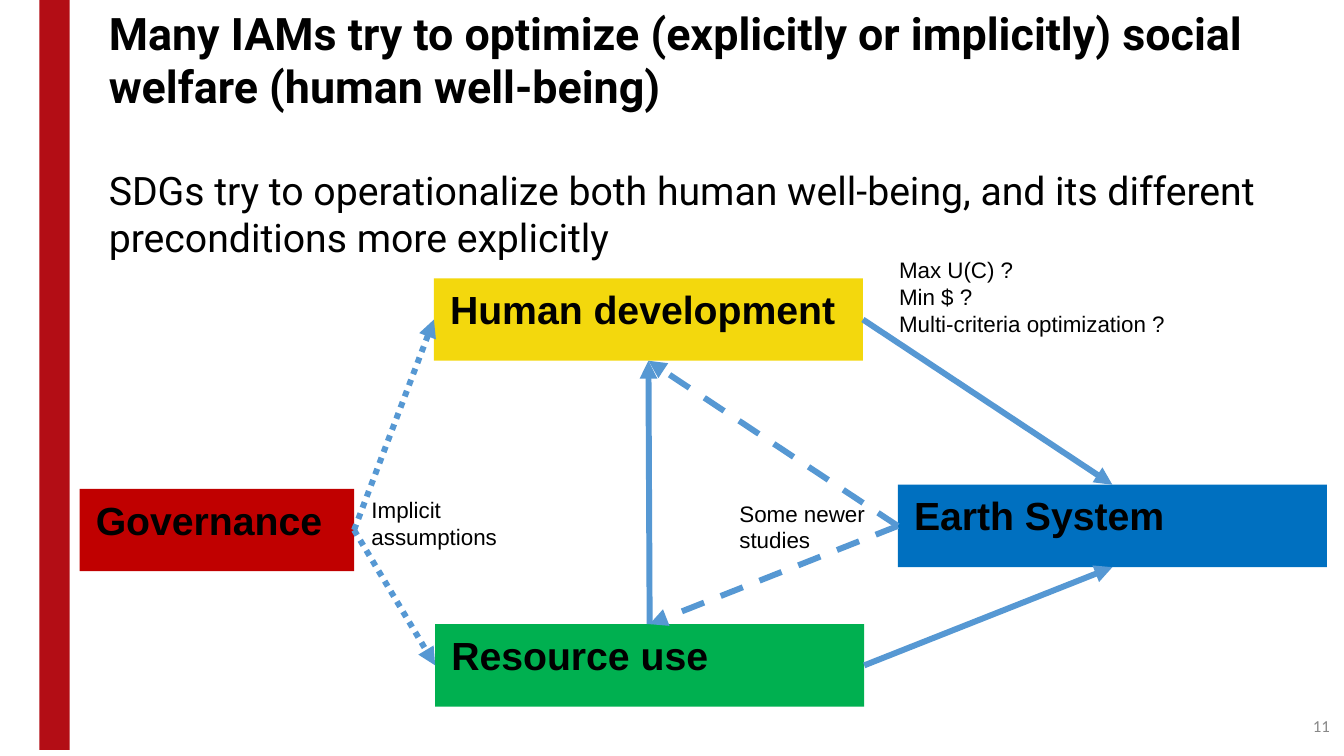
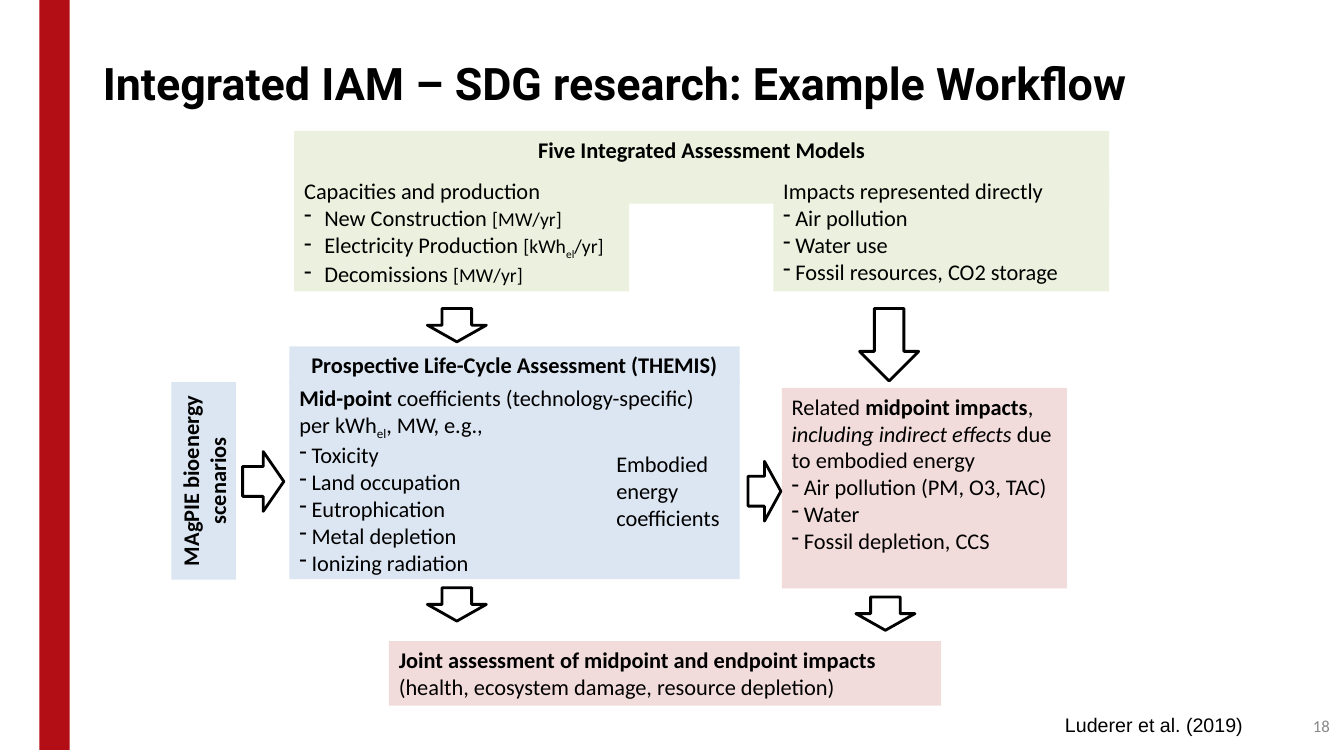
from dataclasses import dataclass

from lxml.etree import SubElement
from pptx import Presentation
from pptx.dml.color import RGBColor
from pptx.enum.dml import MSO_LINE
from pptx.enum.shapes import MSO_CONNECTOR, MSO_SHAPE
from pptx.enum.text import MSO_ANCHOR, MSO_AUTO_SIZE, PP_ALIGN
from pptx.oxml.ns import qn
from pptx.util import Inches, Pt


@dataclass(frozen=True)
class Theme:
    band: str = "B30D15"
    ink: str = "000000"
    paper: str = "FFFFFF"
    muted: str = "888888"
    yellow: str = "F3D80D"
    green: str = "00B050"
    blue: str = "0070C0"
    red: str = "C00000"
    link: str = "5698D3"
    pale_green: str = "EBF1DE"
    pale_blue: str = "DCE6F2"
    pale_red: str = "F2DCDB"
    title_font: str = "Roboto"
    diagram_font: str = "Arial"
    body_font: str = "Calibri"
    title_size: float = 32
    large_size: float = 28
    body_size: float = 16
    unit_size: float = 14
    number_size: float = 12
    link_width: float = 4.25
    outline_width: float = 2


@dataclass(frozen=True)
class Box:
    """A rectangle in inches."""
    left: float
    top: float
    width: float
    height: float

    def share(self, x, y, w, h):
        """Return the box at these percentages of this one."""
        return Box(self.left + self.width * x / 100, self.top + self.height * y / 100,
                   self.width * w / 100, self.height * h / 100)

    def emu(self):
        return [Inches(v) for v in (self.left, self.top, self.width, self.height)]


THEME = Theme()
PAGE = Box(0, 0, 13.33, 7.5)
TITLE_ONLY = 5
TOP, LEFT, BOTTOM, RIGHT = range(4)
BOLD = {"bold": True}
ITALIC = {"italic": True}
UNIT = {"size": THEME.unit_size}
SUBSCRIPT = {"baseline": -25000}


def color(value):
    return RGBColor.from_string(value)


def add_bullet(paragraph, indent):
    properties = paragraph._p.get_or_add_pPr()
    properties.set("marL", str(Inches(indent)))
    properties.set("indent", str(-Inches(indent)))
    SubElement(properties, qn("a:buChar"), char="-")


def write(frame, paragraphs, *, size=THEME.body_size, font=THEME.body_font, ink=THEME.ink,
          bold=False, align=PP_ALIGN.LEFT, anchor=MSO_ANCHOR.TOP, inset=(0.1, 0.05),
          wrap=True, indent=0.12, gap=0):
    """Fill a frame; a paragraph is a string or a list of strings and (string, format) pairs.

    A paragraph that starts with "- " becomes a bulleted one.
    """
    frame.word_wrap = wrap
    frame.auto_size = MSO_AUTO_SIZE.NONE
    frame.vertical_anchor = anchor
    frame.margin_left = frame.margin_right = Inches(inset[0])
    frame.margin_top = frame.margin_bottom = Inches(inset[1])
    for index, content in enumerate(paragraphs):
        paragraph = frame.add_paragraph() if index else frame.paragraphs[0]
        paragraph.alignment = align
        paragraph.space_before = Pt(gap if index else 0)
        pieces = [content] if isinstance(content, str) else content
        pieces = [(p, {}) if isinstance(p, str) else p for p in pieces]
        if pieces[0][0].startswith("- "):
            add_bullet(paragraph, indent)
            pieces[0] = (pieces[0][0][2:], pieces[0][1])
        for words, style in pieces:
            run = paragraph.add_run()
            run.text = words
            run.font.name = font
            run.font.size = Pt(style.get("size", size))
            run.font.bold = style.get("bold", bold)
            run.font.italic = style.get("italic", False)
            run.font.color.rgb = color(ink)
            if "baseline" in style:
                run._r.get_or_add_rPr().set("baseline", str(style["baseline"]))


def add_text(slide, box, paragraphs, **fmt):
    write(slide.shapes.add_textbox(*box.emu()).text_frame, paragraphs, **fmt)


def add_panel(slide, box, fill, paragraphs=(), **fmt):
    panel = slide.shapes.add_shape(MSO_SHAPE.RECTANGLE, *box.emu())
    panel.shadow.inherit = False
    panel.fill.solid()
    panel.fill.fore_color.rgb = color(fill)
    panel.line.fill.background()
    write(panel.text_frame, paragraphs, **fmt)
    return panel


def add_block_arrow(slide, box, preset):
    arrow = slide.shapes.add_shape(preset, *box.emu())
    arrow.shadow.inherit = False
    arrow.fill.solid()
    arrow.fill.fore_color.rgb = color(THEME.paper)
    arrow.line.color.rgb = color(THEME.ink)
    arrow.line.width = Pt(THEME.outline_width)


def add_link(slide, source, source_side, target, target_side, dash=None):
    link = slide.shapes.add_connector(MSO_CONNECTOR.STRAIGHT, 0, 0, 0, 0)
    link.begin_connect(source, source_side)
    link.end_connect(target, target_side)
    link.line.color.rgb = color(THEME.link)
    link.line.width = Pt(THEME.link_width)
    if dash:
        link.line.dash_style = dash
    SubElement(link.line._get_or_add_ln(), qn("a:tailEnd"), type="triangle")
    SubElement(link._element.spPr, qn("a:effectLst"))


def start_slide(deck, number, title_box, title, **title_format):
    slide = deck.slides.add_slide(deck.slide_layouts[TITLE_ONLY])
    add_panel(slide, Box(0.39, -0.06, 0.3, 7.5), THEME.band)
    add_text(slide, Box(10.29, 7, 3, 0.4), [number], size=THEME.number_size,
             ink=THEME.muted, align=PP_ALIGN.RIGHT, anchor=MSO_ANCHOR.MIDDLE)
    heading = slide.shapes.title
    heading.left, heading.top, heading.width, heading.height = title_box.emu()
    write(heading.text_frame, title, size=THEME.title_size, font=THEME.title_font,
          bold=True, anchor=MSO_ANCHOR.MIDDLE, **title_format)
    return slide


def system_diagram(slide, area):
    def node(name, fill, x, y, width=34.4):
        return add_panel(slide, area.share(x, y, width, 18.1), fill, [name],
                         size=THEME.large_size, font=THEME.diagram_font, bold=True,
                         inset=(0.16, 0.07))

    human = node("Human development", THEME.yellow, 28.4, 6)
    resources = node("Resource use", THEME.green, 28.5, 81.9)
    earth = node("Earth System", THEME.blue, 65.6, 51.3)
    governance = node("Governance", THEME.red, 0, 52.2, 22)

    dotted, dashed = MSO_LINE.ROUND_DOT, MSO_LINE.DASH
    for link in (
        (resources, TOP, human, BOTTOM),
        (human, RIGHT, earth, TOP),
        (resources, RIGHT, earth, BOTTOM),
        (earth, LEFT, human, BOTTOM, dashed),
        (earth, LEFT, resources, TOP, dashed),
        (governance, RIGHT, human, LEFT, dotted),
        (governance, RIGHT, resources, LEFT, dotted),
    ):
        add_link(slide, *link)

    for remark, place in (
        (["Implicit assumptions"], (22.6, 52.7, 12.5, 14.2)),
        (["Some newer studies"], (52.1, 53.5, 12.5, 14.2)),
        (["Max U(C) ?", "Min $ ?", "Multi-criteria optimization ?"], (64.9, 0, 23.2, 20.1)),
    ):
        add_text(slide, area.share(*place), remark, font=THEME.diagram_font)


def assessment_models(slide, area):
    add_panel(slide, area.share(0, 0, 100, 45.3), THEME.pale_green,
              ["Five Integrated Assessment Models"], bold=True, align=PP_ALIGN.CENTER)
    add_panel(slide, area.share(0, 25.8, 41.1, 74.2), THEME.pale_green, [
        "Capacities and production",
        ["- New Construction ", ("[MW/yr]", UNIT)],
        ["- Electricity Production ", ("[kWh", UNIT), ("el", UNIT | SUBSCRIPT), ("/yr]", UNIT)],
        ["- Decomissions ", ("[MW/yr]", UNIT)],
    ], indent=0.2, wrap=False)
    add_panel(slide, area.share(58.8, 25.8, 41.2, 74.2), THEME.pale_green, [
        "Impacts represented directly",
        "- Air pollution",
        "- Water use",
        "- Fossil resources, CO2 storage",
    ])


def life_cycle_assessment(slide, area):
    add_panel(slide, area.share(0, 0, 100, 16), THEME.pale_blue,
              ["Prospective Life-Cycle Assessment (THEMIS)"], bold=True, align=PP_ALIGN.CENTER)
    add_panel(slide, area.share(0, 13.9, 100, 86.1), THEME.pale_blue, [
        [("Mid-point ", BOLD), "coefficients (technology-specific)"],
        ["per kWh", ("el", SUBSCRIPT), ", MW, e.g.,"],
        "- Toxicity",
        "- Land occupation",
        "- Eutrophication",
        "- Metal depletion",
        "- Ionizing radiation",
    ])
    add_panel(slide, area.share(70.4, 42.4, 27.8, 39.4), THEME.pale_blue,
              ["Embodied energy", "coefficients"])


def workflow(slide, area):
    assessment_models(slide, area.share(13.1, 0, 86.9, 27.9))
    life_cycle_assessment(slide, area.share(12.6, 37.5, 48, 40.5))
    scenarios = add_panel(slide, area.share(0, 43.7, 6.9, 34.4), THEME.pale_blue,
                          ["MAgPIE bioenergy", "scenarios"], bold=True,
                          align=PP_ALIGN.CENTER, anchor=MSO_ANCHOR.MIDDLE, inset=(0.05, 0.05))
    scenarios.text_frame._txBody.bodyPr.set("vert", "vert270")
    add_panel(slide, area.share(65.1, 44.7, 30.4, 34.9), THEME.pale_red, [
        ["Related ", ("midpoint impacts", BOLD), ", ",
         ("including indirect effects ", ITALIC), "due to embodied energy"],
        "- Air pollution (PM, O3, TAC)",
        "- Water",
        "- Fossil depletion, CCS",
    ])
    add_panel(slide, area.share(23.2, 88.8, 58.9, 11.2), THEME.pale_red, [
        [("Joint assessment of midpoint and endpoint impacts", BOLD)],
        "(health, ecosystem damage, resource depletion)",
    ])
    for x, y, height in ((27.3, 30.9, 5.8), (73.4, 30.9, 12.6), (27.3, 79.5, 5.8), (73, 81.1, 5.8)):
        add_block_arrow(slide, area.share(x, y, 6.3, height), MSO_SHAPE.DOWN_ARROW)
    for x, y, width in ((7.6, 55.8, 4.4), (61.5, 57.5, 3.5)):
        add_block_arrow(slide, area.share(x, y, width, 10.4), MSO_SHAPE.RIGHT_ARROW)


def welfare_slide(deck):
    slide = start_slide(deck, "11", PAGE.share(6.9, 10.3, 89.4, 14.5), [
        "Many IAMs try to optimize (explicitly or implicitly) social welfare (human well-being)",
        [("SDGs try to operationalize both human well-being, and its different "
          "preconditions more explicitly", {"size": THEME.large_size, "bold": False})],
    ], inset=(0.16, 0.05), gap=38)
    system_diagram(slide, PAGE.share(5.93, 33.2, 92.8, 60.27))


def workflow_slide(deck):
    slide = start_slide(deck, "18", PAGE.share(6.9, 3.7, 89.4, 14.5),
                        ["Integrated IAM – SDG research: Example Workflow"])
    workflow(slide, PAGE.share(12.75, 17.33, 69.77, 76))
    add_text(slide, PAGE.share(78.5, 93.6, 18.7, 5.3), ["Luderer et al. (2019)"],
             size=THEME.unit_size, font=THEME.diagram_font)


def main():
    deck = Presentation()
    deck.slide_width, deck.slide_height = Inches(PAGE.width), Inches(PAGE.height)
    welfare_slide(deck)
    workflow_slide(deck)
    deck.save("out.pptx")


if __name__ == "__main__":
    main()
